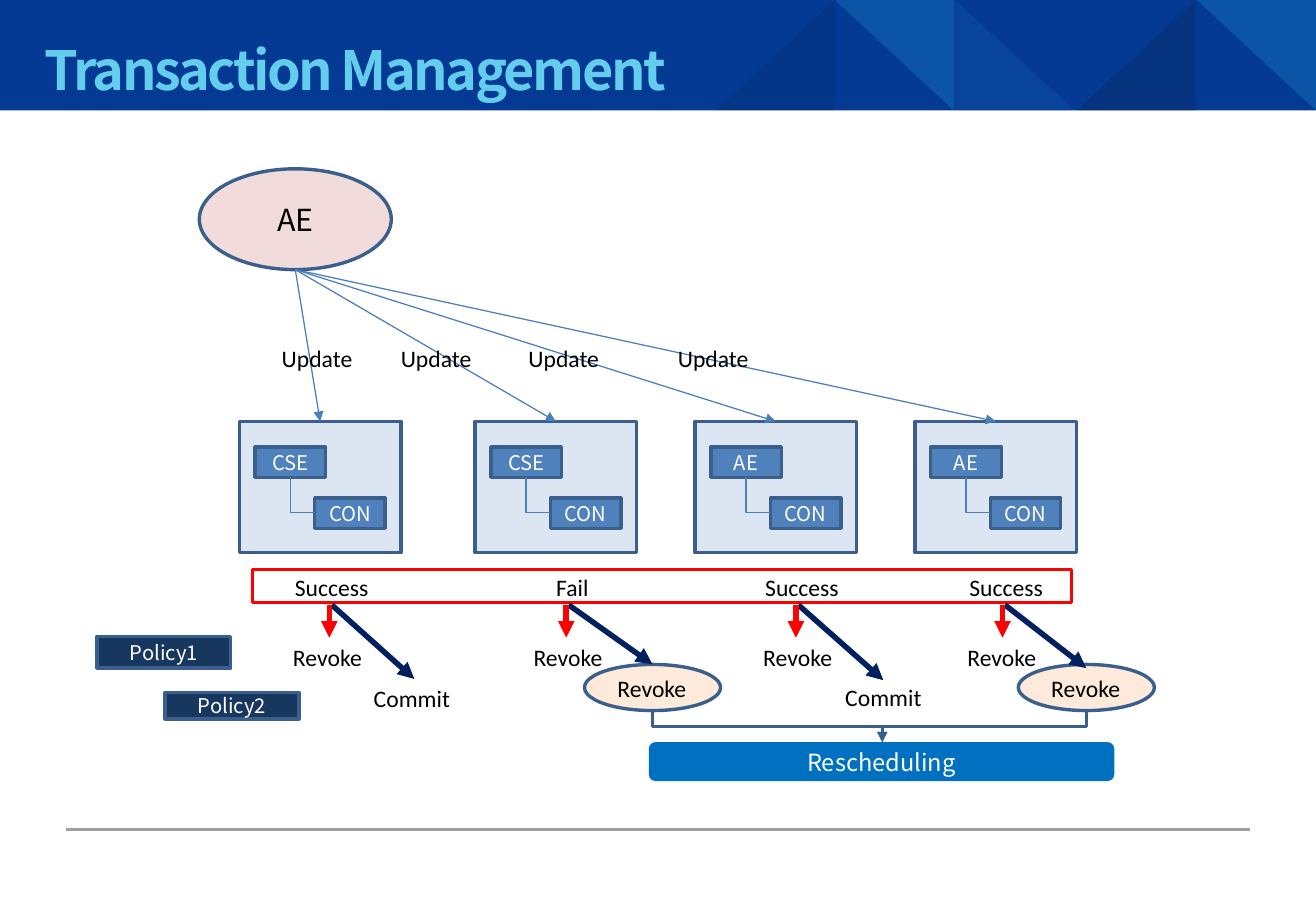
from lxml.etree import SubElement
from pptx import Presentation
from pptx.dml.color import RGBColor
from pptx.enum.shapes import MSO_CONNECTOR as Link, MSO_SHAPE as Shape
from pptx.enum.text import MSO_ANCHOR as Anchor, PP_ALIGN as Align
from pptx.oxml.ns import qn
from pptx.util import Pt

PX = 9144
SANS, BODY = "Noto Sans CJK KR", "Calibri"
EDGE, THIN, NAVY, RED, WHITE = "3A5F8C", "4B7EBC", "002060", "FF0000", "FFFFFF"
color = RGBColor.from_string

deck = Presentation()
deck.slide_width, deck.slide_height = 1083 * PX, 750 * PX
page = deck.slides.add_slide(deck.slide_layouts[6])


def add_box(kind, left, top, width, height, text="", fill=None, alpha=100, line=None,
            font=BODY, size=14, ink="000000", bold=False, spacing=0,
            align=Align.CENTER, wrap=True):
    place = [value * PX for value in (left, top, width, height)]
    if kind is None:
        box = page.shapes.add_textbox(*place)
    else:
        box = page.shapes.add_shape(kind, *place)
        box.shadow.inherit = False
        box.text_frame.vertical_anchor = Anchor.MIDDLE
        if fill:
            box.fill.solid()
            box.fill.fore_color.rgb = color(fill)
            if alpha < 100:
                tint = box.fill._xPr.find(qn("a:solidFill"))[0]
                SubElement(tint, qn("a:alpha")).set("val", str(alpha * 1000))
        else:
            box.fill.background()
        if line:
            box.line.color.rgb = color(line)
            box.line.width = Pt(2)
        else:
            box.line.fill.background()
    if text:
        box.text_frame.word_wrap = wrap
        para = box.text_frame.paragraphs[0]
        para.alignment = align
        span = para.add_run()
        span.text = text
        span.font.name, span.font.size, span.font.bold = font, Pt(size), bold
        span.font.color.rgb = color(ink)
        if spacing:
            span.font._element.set("spc", str(spacing))
    return box


def add_line(start, end, ink, weight, arrow=True, bend=None):
    (x1, y1), (x2, y2) = start, end
    corners = [x1, y1, x2, y2]
    if bend:
        mid_x, mid_y = (x1 + x2) / 2, (y1 + y2) / 2
        half_w, half_h = abs(y2 - y1) / 2, abs(x2 - x1) / 2
        corners = [mid_x - half_w, mid_y - half_h, mid_x + half_w, mid_y + half_h]
    link = page.shapes.add_connector(Link.ELBOW if bend else Link.STRAIGHT,
                                     *[int(value * PX) for value in corners])
    link.line.color.rgb = color(ink)
    link.line.width = Pt(weight)
    props = link._element.spPr
    if bend:
        props.find(qn("a:prstGeom")).set("prst", bend)
        frame = props.find(qn("a:xfrm"))
        frame.set("rot", "16200000" if x2 > x1 else "5400000")
        if x2 > x1:
            frame.set("flipH", "1")
    if arrow:
        SubElement(props.find(qn("a:ln")), qn("a:tailEnd")).set("type", "triangle")
    SubElement(props, qn("a:effectLst"))
    return link


add_box(Shape.RECTANGLE, 0, 0, 1083, 91, fill="043A94")
for left, turn, apex, fill, alpha in [
    (985, 180, 0, "2EBDE9", 20),
    (886, 0, 1, "0A1828", 20),
    (786, 0, 0, "1B70BD", 20),
    (687, 180, 0, "2EBDE9", 20),
    (589, 0, 1, "0A1828", 10),
]:
    facet = add_box(Shape.ISOSCELES_TRIANGLE, left, 0, 98, 91, fill=fill, alpha=alpha)
    facet.rotation = turn
    facet.adjustments[0] = apex
add_box(None, 27, 25, 948, 64, "Transaction Management", font=SANS, size=32,
        ink="64CDEE", bold=True, spacing=-150, align=Align.LEFT)
add_line((54, 683), (1029, 683), "A0A0A3", 1.75, arrow=False)

add_box(Shape.OVAL, 164, 139, 158, 83, "AE", fill="F2DCDB", line=EDGE, font=SANS, size=18)

for left, parent, update_left in [
    (197, "CSE", 222), (391, "CSE", 320), (572, "AE", 425), (753, "AE", 548),
]:
    site = add_box(Shape.RECTANGLE, left, 347, 133, 108, fill="DCE6F2", line=EDGE)
    add_line((243, 222), (left + 67, 347), THIN, 0.75).end_connect(site, 0)
    for label, node_left, node_top in [(parent, left + 13, 368), ("CON", left + 62, 410)]:
        add_box(Shape.RECTANGLE, node_left, node_top, 58, 25, label, fill="4F81BD",
                line=EDGE, font=SANS, size=12, ink=WHITE)
    add_line((left + 42, 393), (left + 62, 422), THIN, 1, arrow=False, bend="bentConnector2")
    add_box(None, update_left, 278, 95, 34, "Update", align=Align.LEFT)

add_box(Shape.RECTANGLE, 208, 469, 674, 27, line=RED)
for status, left, drop, tip, outcome, outcome_left, outcome_top in [
    ("Success", 212, 271, (341, 559), "Commit", 297, 558),
    ("Fail", 410, 466, (537, 547), "Revoke", 498, 550),
    ("Success", 599, 655, (727, 560), "Commit", 685, 557),
    ("Success", 767, 825, (894, 550), "Revoke", 855, 550),
]:
    revoked = outcome == "Revoke"
    if revoked:
        add_box(Shape.OVAL, tip[0] - 56, 547, 112, 38, fill="FDEADA", line=EDGE)
        add_line((tip[0], 585), (726, 611), EDGE, 2, bend="bentConnector3")
    add_box(None, left, 467, 122, 34, status)
    add_box(None, left - 4, 524, 123, 34, "Revoke")
    add_box(None, outcome_left, outcome_top, 77 if revoked else 84, 34, outcome, wrap=False)
    add_line((drop + 2, 498), tip, NAVY, 3.25)
    add_line((drop, 498), (drop, 525), RED, 3.25)

add_box(Shape.ROUNDED_RECTANGLE, 534, 611, 383, 32, "Rescheduling", fill="0070C0",
        font=SANS, ink=WHITE)
for label, left, top, height in [("Policy1", 80, 524, 26), ("Policy2", 136, 570, 22)]:
    add_box(Shape.RECTANGLE, left, top, 110, height, label, fill="17375E", line=EDGE,
            font=SANS, size=12, ink=WHITE)

deck.save("out.pptx")
